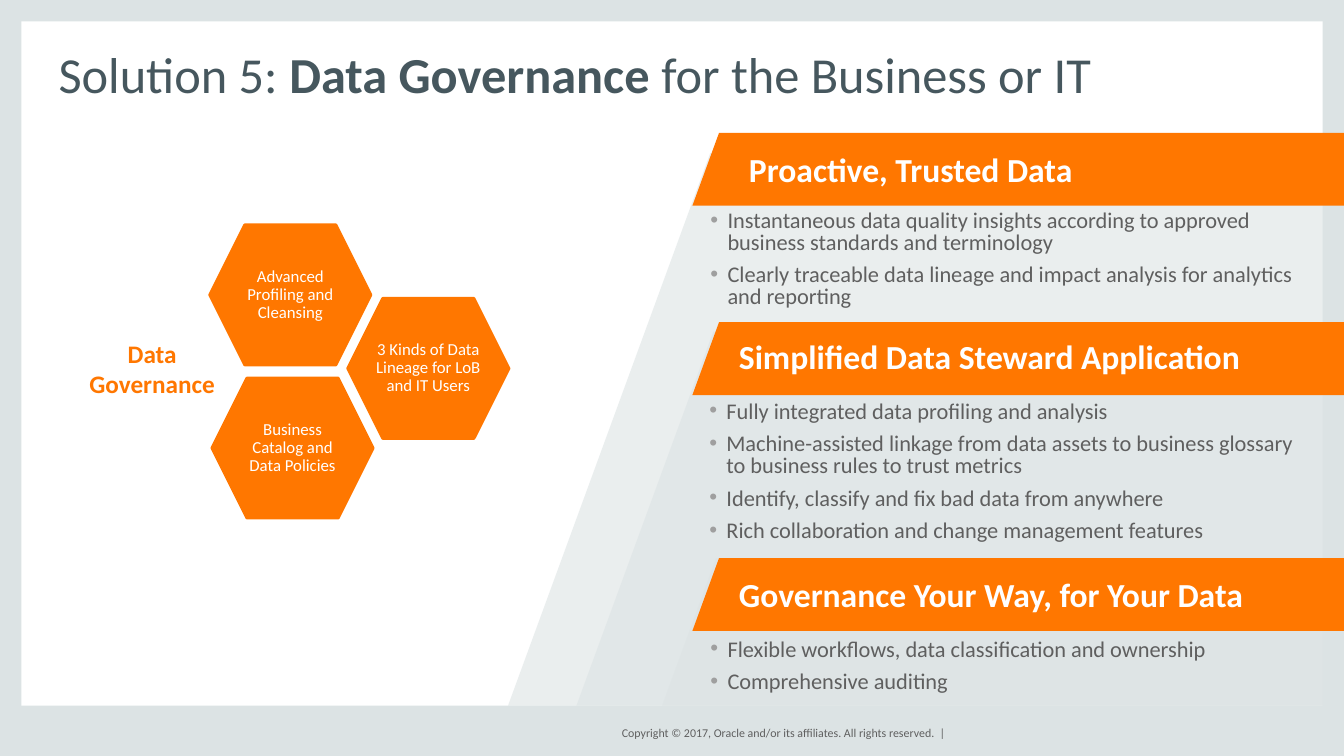
import pptx
import pptx.util
import pptx.dml.color
import pptx.enum.shapes
import pptx.enum.text
import pptx.oxml.ns
import lxml.etree

Pt = pptx.util.Pt
MSO = pptx.enum.shapes.MSO_SHAPE
ALIGN = pptx.enum.text.PP_ALIGN
ANCHOR = pptx.enum.text.MSO_ANCHOR

FONT = "Calibri"
ORANGE, PALE, WHITE = "FF7700", "DCE3E4", "FFFFFF"
SLATE, GREY, BULLET = "46575E", "5F5F5F", "9F9F9F"
W, H = 960, 540
EDGE, FOOT = 15.3, 36
SLANT = 0.366

TITLE = [("Solution 5: ", False), ("Data Governance ", True),
         ("for the Business or IT", False)]
COPYRIGHT = "Copyright © 2017, Oracle and/or its affiliates. All rights reserved.  |"
FRAME = [(0, 0, EDGE, H), (W - EDGE, 0, EDGE, H),
         (0, H - FOOT, W, FOOT), (0, 0, W, EDGE)]

PANEL_RIGHT, PANEL_BOTTOM = 1095.8, H - FOOT
PANELS = [(362.9, 109.4), (411.8, 236.9), (473, 398.9)]

BAND_LEFT, BAND_W, BAND_H = 494.6, 496, 52
SECTIONS = [
    {"band": 95, "heading": "Proactive, Trusted Data",
     "at": (535, 111.6), "spacing": 0.8, "list": (500.4, 147.6, 89),
     "bullets": [
         "Instantaneous data quality insights according to approved business standards and terminology",
         "Clearly traceable data lineage and impact analysis for analytics and reporting"]},
    {"band": 230.2, "heading": "Simplified Data Steward Application",
     "at": (527.8, 239.8), "spacing": 1, "list": (499.6, 283.7, 81),
     "bullets": [
         "Fully integrated data profiling and analysis",
         "Machine-assisted linkage from data assets to business glossary to business rules to trust metrics",
         "Identify, classify and fix bad data from anywhere",
         "Rich collaboration and change management features"]},
    {"band": 398.7, "heading": "Governance Your Way, for Your Data",
     "at": (527.8, 409.7), "spacing": 1, "list": (500.4, 453.6, 45),
     "bullets": [
         "Flexible workflows, data classification and ownership",
         "Comprehensive auditing"]},
]

HEX_W, HEX_H = 115.2, 100.1
LABEL_W, LABEL_H = 80, 69
LABEL_HEX = (51.1, 213.1)
TOPICS = [
    ("3 Kinds of Data Lineage for LoB and IT Users", 248.4, 213.1),
    ("Business Catalog and Data Policies", 151.4, 270),
    ("Advanced Profiling and Cleansing", 149.8, 160.6),
]


def rgb(value):
    return pptx.dml.color.RGBColor.from_string(value)


def add_child(parent, tag, **attrs):
    child = lxml.etree.SubElement(parent, pptx.oxml.ns.qn(tag))
    for key, value in attrs.items():
        child.set(key, value)
    return child


def add_shape(shapes, kind, box, fill, opacity=100, line=None):
    s = shapes.add_shape(kind, *[Pt(v) for v in box])
    s.shadow.inherit = False
    s.fill.solid()
    s.fill.fore_color.rgb = rgb(fill)
    if opacity < 100:
        clr = s.fill._xPr.find(".//" + pptx.oxml.ns.qn("a:srgbClr"))
        add_child(clr, "a:alpha", val=str(opacity * 1000))
    if line:
        s.line.color.rgb = rgb(fill)
        s.line.width = Pt(line)
    else:
        s.line.fill.background()
    return s


def add_slanted(shapes, box, fill, opacity=100):
    s = add_shape(shapes, MSO.PARALLELOGRAM, box, fill, opacity)
    s.adjustments[0] = SLANT


def setup(s, anchor=ANCHOR.TOP, insets=(0, 0), wrap=True):
    tf = s.text_frame
    tf.word_wrap = wrap
    tf.vertical_anchor = anchor
    tf.margin_left = tf.margin_right = Pt(insets[0])
    tf.margin_top = tf.margin_bottom = Pt(insets[1])
    return tf


def add_box(shapes, box, **options):
    return setup(shapes.add_textbox(*[Pt(v) for v in box]), **options)


def add_run(p, text, size, color, bold=False):
    r = p.add_run()
    r.text = text
    r.font.name = FONT
    r.font.size = Pt(size)
    r.font.bold = bold
    r.font.color.rgb = rgb(color)


def add_bullet(p):
    pPr = p._p.get_or_add_pPr()
    pPr.set("marL", str(Pt(12.2)))
    pPr.set("indent", str(-Pt(12.2)))
    add_child(add_child(pPr, "a:buClr"), "a:srgbClr", val=BULLET)
    add_child(pPr, "a:buFont", typeface="Arial")
    add_child(pPr, "a:buChar", char="•")


def add_bullets(shapes, box, items):
    tf = add_box(shapes, box, insets=(7.2, 3.6))
    for i, item in enumerate(items):
        p = tf.add_paragraph() if i else tf.paragraphs[0]
        add_bullet(p)
        p.line_spacing = 0.8
        p.space_before = Pt(8 if i else 0)
        add_run(p, item, 16, GREY)


def add_topic(shapes, text, x, y):
    group = shapes.add_group_shape().shapes
    add_shape(group, MSO.HEXAGON, (x, y, HEX_W, HEX_H), ORANGE, line=2)
    box = (x + (HEX_W - LABEL_W) / 2, y + (HEX_H - LABEL_H) / 2, LABEL_W, LABEL_H)
    s = add_shape(group, MSO.RECTANGLE, box, ORANGE, line=0.75)
    p = setup(s, ANCHOR.MIDDLE, (0, 1.4)).paragraphs[0]
    p.alignment = ALIGN.CENTER
    p.line_spacing = 0.9
    add_run(p, text, 12, WHITE)


def main():
    prs = pptx.Presentation()
    prs.slide_width, prs.slide_height = Pt(W), Pt(H)
    shapes = prs.slides.add_slide(prs.slide_layouts[6]).shapes

    for box in FRAME:
        add_shape(shapes, MSO.RECTANGLE, box, PALE)
    tf = add_box(shapes, (423.4, 516.2, 252, 14.4), anchor=ANCHOR.MIDDLE, wrap=False)
    tf.paragraphs[0].alignment = ALIGN.RIGHT
    add_run(tf.paragraphs[0], COPYRIGHT, 8.5, GREY)

    for x, y in PANELS:
        add_slanted(shapes, (x, y, PANEL_RIGHT - x, PANEL_BOTTOM - y), PALE, 60)
    for section in SECTIONS:
        add_slanted(shapes, (BAND_LEFT, section["band"], BAND_W, BAND_H), ORANGE)
        p = add_box(shapes, (*section["at"], 403.2, 32)).paragraphs[0]
        p.line_spacing = section["spacing"]
        add_run(p, section["heading"], 24, WHITE, True)
        x, y, height = section["list"]
        add_bullets(shapes, (x, y, 442.8, height), section["bullets"])

    p = add_box(shapes, (41.8, 31.7, 876, 41.8), anchor=ANCHOR.BOTTOM).paragraphs[0]
    p.line_spacing = 0.8
    for text, bold in TITLE:
        add_run(p, text, 36, SLATE, bold)

    s = add_shape(shapes, MSO.HEXAGON, (*LABEL_HEX, HEX_W, HEX_H), WHITE, 90)
    p = setup(s, ANCHOR.MIDDLE, (7.2, 3.6), wrap=False).paragraphs[0]
    p.alignment = ALIGN.CENTER
    add_run(p, "Data", 18, ORANGE, True)
    p.add_line_break()
    add_run(p, "Governance", 18, ORANGE, True)
    for topic in TOPICS:
        add_topic(shapes, *topic)

    prs.save("out.pptx")


if __name__ == "__main__":
    main()
